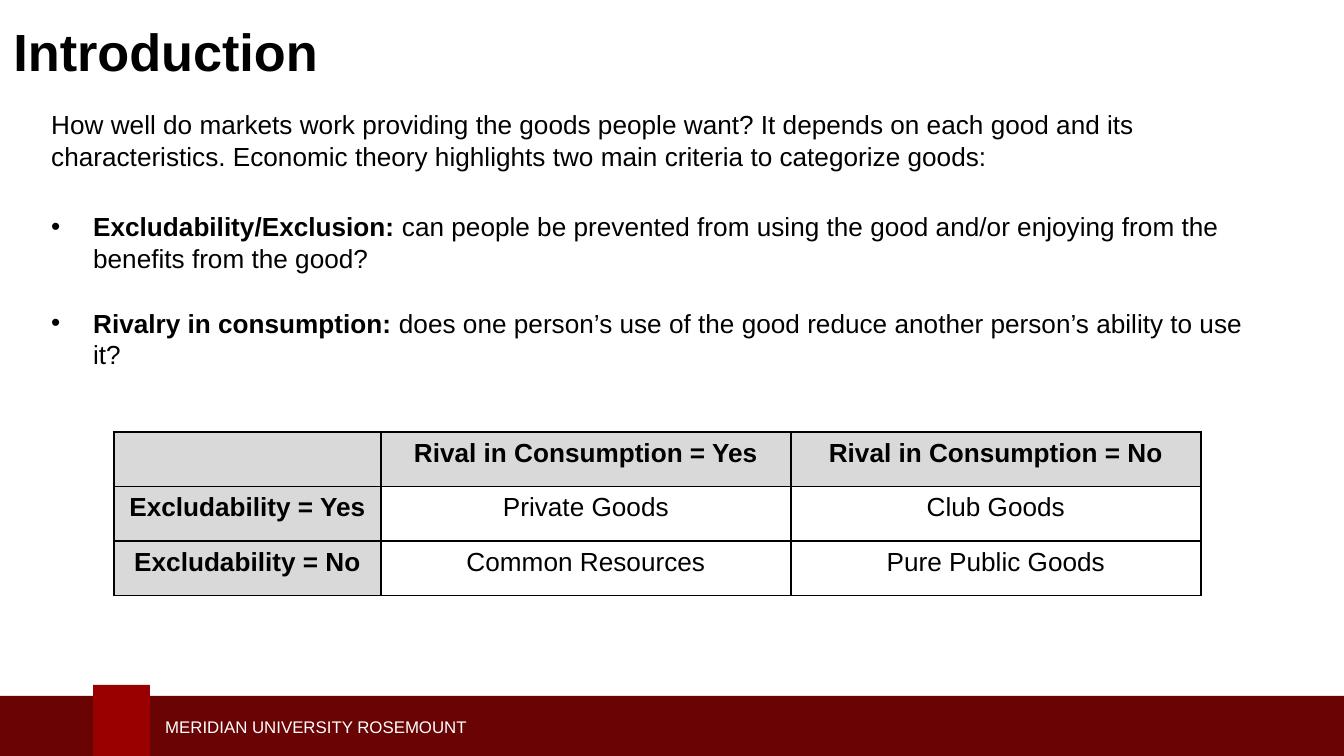
from lxml.etree import SubElement as Sub
from pptx import Presentation
from pptx.dml.color import RGBColor as Rgb
from pptx.enum.shapes import MSO_SHAPE as Shape
from pptx.enum.text import MSO_ANCHOR as Anchor, MSO_AUTO_SIZE as Auto, PP_ALIGN as Align
from pptx.oxml.ns import qn
from pptx.util import Pt

SCALE = 914400 / 134.4
FONT = "Arial"
HUES = {"ink": "000000", "paper": "FFFFFF", "band": "690304", "tab": "990000", "head": "D9D9D9"}
LEAD = (
    "How well do markets work providing the goods people want? It depends on each good "
    "and its characteristics. Economic theory highlights two main criteria to categorize goods:"
)
TERMS = [
    ("Excludability/Exclusion: ",
     "can people be prevented from using the good and/or enjoying from the benefits from the good?"),
    ("Rivalry in consumption: ",
     "does one person’s use of the good reduce another person’s ability to use it?"),
]
GOODS = [
    ("", "Rival in Consumption = Yes", "Rival in Consumption = No"),
    ("Excludability = Yes", "Private Goods", "Club Goods"),
    ("Excludability = No", "Common Resources", "Pure Public Goods"),
]


def px(num):
    """Turn pixels into EMU."""
    return round(num * SCALE)


def hue(name):
    """Look up a colour."""
    return Rgb.from_string(HUES[name])


def write(para, text, size=14, bold=False, color="ink", align=Align.LEFT):
    """Add a formatted run to a paragraph."""
    para.alignment = align
    run = para.add_run()
    run.text = text
    font = run.font
    font.name, font.size, font.bold = FONT, Pt(size), bold
    font.color.rgb = hue(color)


def space(para):
    """Set the gaps around a body paragraph."""
    para.space_before, para.space_after = Pt(12), Pt(6)


def bullet(para):
    """Give a paragraph a hanging bullet."""
    props = para._p.get_or_add_pPr()
    props.set("marL", str(px(42)))
    props.set("indent", str(px(-42)))
    Sub(props, qn("a:buFont"), typeface=FONT)
    Sub(props, qn("a:buChar"), char="•")


def block(slide, x, y, wide, high, color):
    """Add a plain filled rectangle."""
    rect = slide.shapes.add_shape(Shape.RECTANGLE, px(x), px(y), px(wide), px(high))
    rect.shadow.inherit = False
    rect.fill.solid()
    rect.fill.fore_color.rgb = hue(color)
    rect.line.fill.background()


def box(slide, x, y, wide, high, anchor=Anchor.TOP):
    """Add a wrapping text box and return its frame."""
    frame = slide.shapes.add_textbox(px(x), px(y), px(wide), px(high)).text_frame
    frame.word_wrap = True
    frame.vertical_anchor = anchor
    return frame


def footer(slide):
    """Draw the footer band with its name."""
    block(slide, -4, 696, 1356, 67, "band")
    block(slide, 93, 685, 57, 78, "tab")
    frame = box(slide, 152, 710, 531, 33, Anchor.MIDDLE)
    write(frame.paragraphs[0], "MERIDIAN UNIVERSITY ROSEMOUNT", size=9, color="paper")


def title(slide, text):
    """Place and fill the title."""
    head = slide.shapes.title
    head.left, head.top, head.width, head.height = px(0), px(0), px(1344), px(102)
    frame = head.text_frame
    frame.auto_size = Auto.NONE
    frame.vertical_anchor = Anchor.MIDDLE
    write(frame.paragraphs[0], text, size=28, bold=True)


def body(slide):
    """Write the lead and the two criteria."""
    lead = box(slide, 38, 102, 1290, 77).paragraphs[0]
    space(lead)
    write(lead, LEAD)
    frame = box(slide, 38, 204, 1239, 175)
    for i, (term, text) in enumerate(TERMS):
        para = frame.add_paragraph() if i else frame.paragraphs[0]
        space(para)
        bullet(para)
        write(para, term, bold=True)
        write(para, text)


def border(cell):
    """Draw a thin line on all four sides of a cell."""
    props = cell._tc.get_or_add_tcPr()
    for side in "LRTB":
        line = Sub(props, qn(f"a:ln{side}"), w=str(Pt(1)))
        fill = Sub(line, qn("a:solidFill"))
        Sub(fill, qn("a:srgbClr"), val=HUES["ink"])


def grid(slide, rows, x, y, cols, high):
    """Build the table with a shaded first row and column."""
    size = px(sum(cols)), px(high * len(rows))
    table = slide.shapes.add_table(len(rows), len(cols), px(x), px(y), *size).table
    table.first_row = table.horz_banding = False
    for col, wide in zip(table.columns, cols):
        col.width = px(wide)
    for r, row in enumerate(rows):
        table.rows[r].height = px(high)
        for c, text in enumerate(row):
            cell = table.cell(r, c)
            head = r == 0 or c == 0
            border(cell)
            cell.fill.solid()
            cell.fill.fore_color.rgb = hue("head" if head else "paper")
            if text:
                write(cell.text_frame.paragraphs[0], text, bold=head, align=Align.CENTER)


def main():
    """Build and save the slide."""
    deck = Presentation()
    deck.slide_width, deck.slide_height = px(1344), px(756)
    slide = deck.slides.add_slide(deck.slide_layouts[5])
    footer(slide)
    title(slide, "Introduction")
    body(slide)
    grid(slide, GOODS, 114, 432, (267, 410, 410), 54.5)
    deck.save("out.pptx")


if __name__ == "__main__":
    main()
